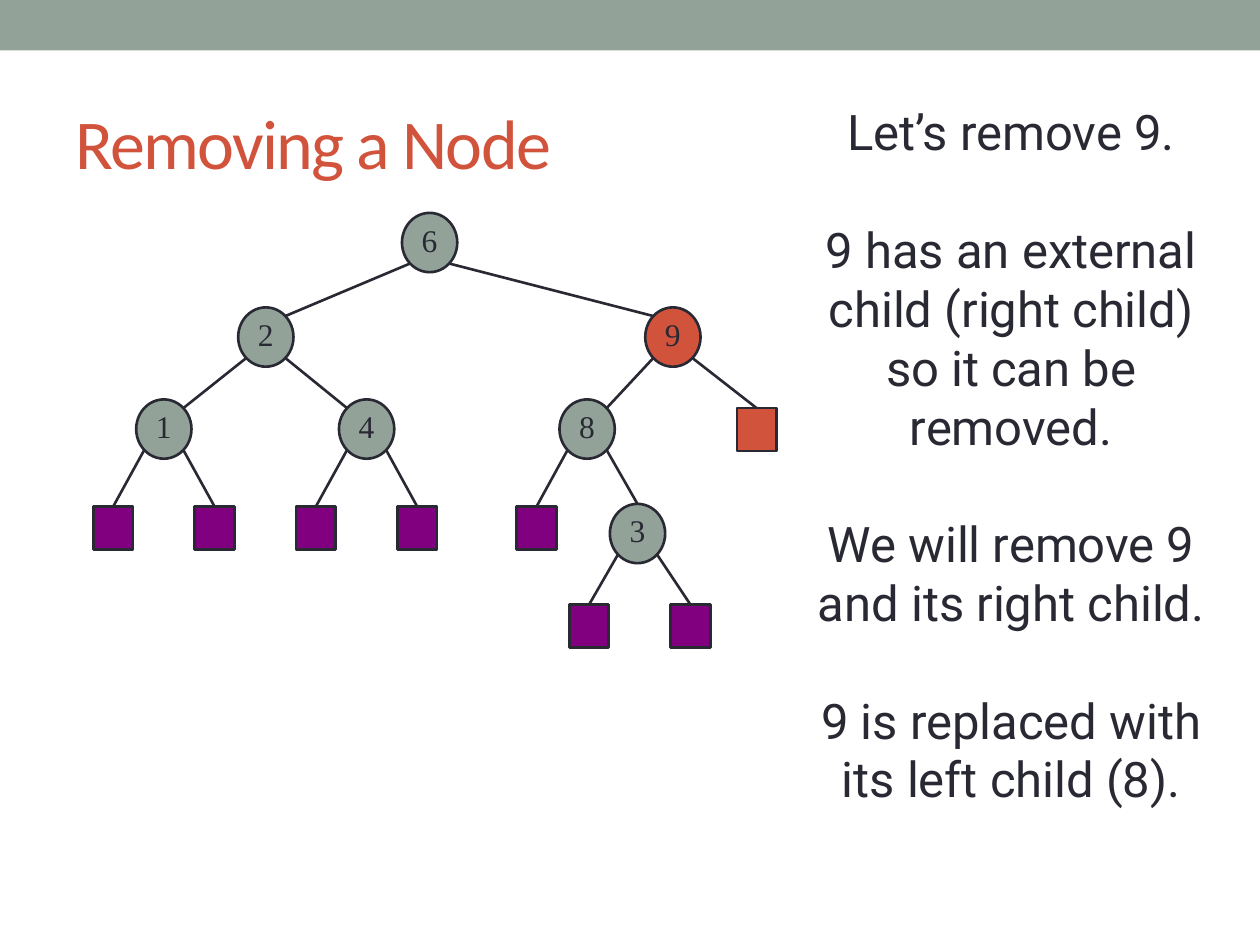
import math

import pptx
import pptx.dml.color
import pptx.enum.shapes
import pptx.enum.text
import pptx.oxml
import pptx.util

Pt = pptx.util.Pt
RGBColor = pptx.dml.color.RGBColor
Shape = pptx.enum.shapes.MSO_SHAPE
Anchor = pptx.enum.text.MSO_ANCHOR
Align = pptx.enum.text.PP_ALIGN

SAGE = RGBColor(0x93, 0xA2, 0x99)
RED = RGBColor(0xD2, 0x53, 0x3C)
PURPLE = RGBColor(0x80, 0x00, 0x80)
INK = RGBColor(0x29, 0x29, 0x34)

# Content
TITLE = "Removing a Node"
STEPS = [
    "Let’s remove 9.",
    "9 has an external child (right child) so it can be removed.",
    "We will remove 9 and its right child.",
    "9 is replaced with its left child (8).",
]
# Internal nodes: label, parent, centre x, centre y, fill
NODES = [
    ("6", None, 245.5, 138.6, SAGE),
    ("2", "6", 151.9, 192.6, SAGE),
    ("9", "6", 384.5, 192.6, RED),
    ("1", "2", 93.6, 245.2, SAGE),
    ("4", "2", 209.5, 245.2, SAGE),
    ("8", "9", 335.5, 245.2, SAGE),
    ("3", "8", 364.3, 304.9, SAGE),
]
# External nodes: parent, centre x, centre y, fill
LEAVES = [
    ("1", 64.7, 301.7, PURPLE),
    ("1", 122.6, 301.7, PURPLE),
    ("4", 180.5, 301.7, PURPLE),
    ("4", 238.4, 301.7, PURPLE),
    ("8", 306.6, 301.7, PURPLE),
    ("9", 432.4, 245.5, RED),
    ("3", 336.6, 357.8, PURPLE),
    ("3", 394.6, 357.8, PURPLE),
]
NODE_SIZE = (31.6, 33.9)
LEAF_SIZE = (22.6, 24.5)
STEP_GAP = 33.6

presentation = pptx.Presentation()
presentation.slide_width, presentation.slide_height = Pt(720), Pt(540)
slide = presentation.slides.add_slide(presentation.slide_layouts[6])


def add_run(paragraph, text, font, size, color):
    run = paragraph.add_run()
    run.text = text
    run.font.name = font
    run.font.size = Pt(size)
    run.font.color.rgb = color
    return run


def add_text_box(left, top, width, height):
    frame = slide.shapes.add_textbox(Pt(left), Pt(top), Pt(width), Pt(height)).text_frame
    frame.word_wrap = True
    return frame


def add_vertex(kind, x, y, size, fill):
    width, height = size
    shape = slide.shapes.add_shape(
        kind, Pt(x - width / 2), Pt(y - height / 2), Pt(width), Pt(height))
    shape.shadow.inherit = False
    shape.fill.solid()
    shape.fill.fore_color.rgb = fill
    shape.line.color.rgb = INK
    shape.line.width = Pt(1.5)
    return shape


def diagonal_point(center, side, below):
    """Point on a node's rim at 45 degrees; side and below are -1 or 1."""
    reach = math.sqrt(0.5) / 2
    return (center[0] + side * NODE_SIZE[0] * reach,
            center[1] + below * NODE_SIZE[1] * reach)


def add_edge(parent_center, child_center, child_shape, joins_top):
    side = 1 if child_center[0] > parent_center[0] else -1
    start = diagonal_point(parent_center, side, 1)
    end = diagonal_point(child_center, -side, -1)
    edge = slide.shapes.add_connector(
        pptx.enum.shapes.MSO_CONNECTOR.STRAIGHT, *(Pt(v) for v in start + end))
    if joins_top:
        edge.end_connect(child_shape, 0)
    edge.line.color.rgb = INK
    edge.line.width = Pt(1.5)
    properties = edge._element.spPr
    properties.append(properties.makeelement(pptx.oxml.ns.qn("a:effectLst"), {}))


# Top band
band = slide.shapes.add_shape(Shape.RECTANGLE, 0, 0, Pt(720), Pt(28.8))
band.shadow.inherit = False
band.fill.solid()
band.fill.fore_color.rgb = SAGE
band.line.fill.background()

# Title
title = add_text_box(36, 42, 648, 77.5)
title.vertical_anchor = Anchor.MIDDLE
title_run = add_run(title.paragraphs[0], TITLE, "Calibri", 40, RED)
title_run.font._element.set("spc", "-100")

# Explanation
explanation = add_text_box(458.6, 54.7, 238.3, 476)
for index, step in enumerate(STEPS):
    paragraph = explanation.add_paragraph() if index else explanation.paragraphs[0]
    paragraph.alignment = Align.CENTER
    if index:
        paragraph.space_before = Pt(STEP_GAP)
    add_run(paragraph, step, "Roboto", 28, INK)

# Internal nodes
centers = {label: (x, y) for label, _, x, y, _ in NODES}
for label, parent, x, y, fill in NODES:
    node = add_vertex(Shape.OVAL, x, y, NODE_SIZE, fill)
    frame = node.text_frame
    frame.margin_left = frame.margin_top = frame.margin_right = 0
    frame.margin_bottom = Pt(3.6)
    frame.word_wrap = False
    frame.vertical_anchor = Anchor.MIDDLE
    frame.paragraphs[0].alignment = Align.CENTER
    add_run(frame.paragraphs[0], label, "Times New Roman", 18, INK)
    if parent:
        add_edge(centers[parent], (x, y), node, joins_top=label == "3")

# External nodes
for parent, x, y, fill in LEAVES:
    leaf = add_vertex(Shape.RECTANGLE, x, y, LEAF_SIZE, fill)
    add_edge(centers[parent], (x, y), leaf, joins_top=True)

presentation.save("out.pptx")
